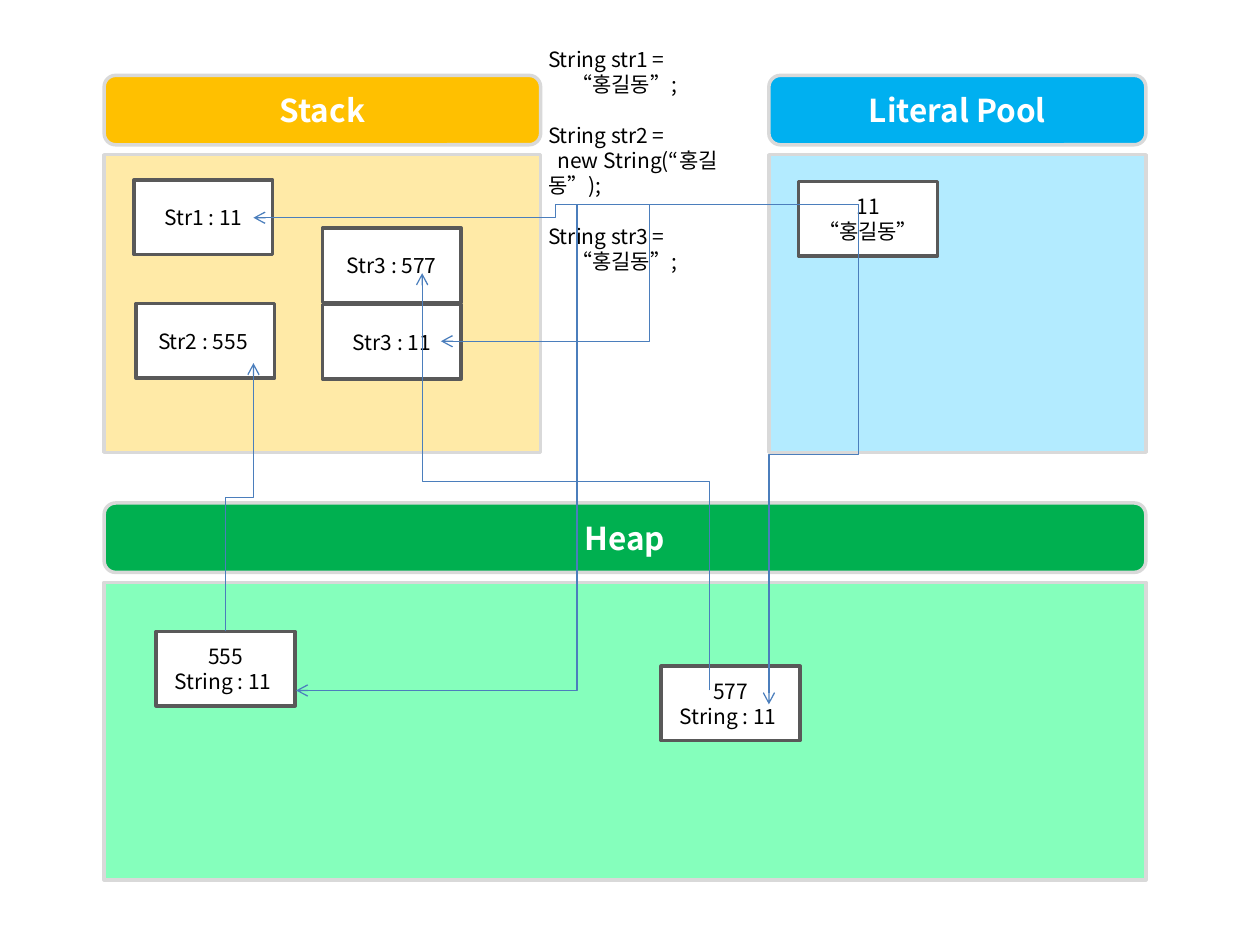
from pptx import Presentation
from pptx.dml.color import RGBColor
from pptx.enum.shapes import MSO_CONNECTOR, MSO_SHAPE
from pptx.enum.text import MSO_ANCHOR, MSO_AUTO_SIZE, PP_ALIGN
from pptx.oxml.ns import qn
from pptx.util import Cm, Pt
from lxml.etree import SubElement


def tint(code):
    return RGBColor.from_string(code)


class Deck:
    """Holds the style and the current slide, and draws each kind of element."""

    font = "Noto Sans CJK KR"
    ink, paper = "000000", "FFFFFF"
    edge, frame, wire = "D9D9D9", "595959", "4B7EBC"

    def __init__(self, wide, high):
        self.show = Presentation()
        self.show.slide_width, self.show.slide_height = Cm(wide), Cm(high)
        self.slide = self.show.slides.add_slide(self.show.slide_layouts[6])

    def label(self, para, text, size=12, color=ink, bold=False):
        run = para.add_run()
        run.text = text
        face = run.font
        face.name, face.size, face.bold = self.font, Pt(size), bold
        face.color.rgb = tint(color)
        SubElement(face._element, qn("a:ea"), typeface=self.font)

    def shape(self, kind, place, fill, line, rows=(), **style):
        item = self.slide.shapes.add_shape(kind, *map(Cm, place))
        item.shadow.inherit = False
        item.fill.solid()
        item.fill.fore_color.rgb = tint(fill)
        item.line.color.rgb = tint(line)
        item.line.width = Pt(2)
        frame = item.text_frame
        frame.vertical_anchor = MSO_ANCHOR.MIDDLE
        for i, row in enumerate(rows):
            para = frame.add_paragraph() if i else frame.paragraphs[0]
            para.alignment = PP_ALIGN.CENTER
            self.label(para, row, **style)

    def panel(self, name, x, y, wide, dark, light):
        self.shape(MSO_SHAPE.ROUNDED_RECTANGLE, (x, y, wide, 1.4), dark, self.edge,
                   [name], size=18, color=self.paper, bold=True)
        self.shape(MSO_SHAPE.RECTANGLE, (x, y + 1.6, wide, 6), light, self.edge)

    def box(self, x, y, *rows):
        self.shape(MSO_SHAPE.RECTANGLE, (x, y, 2.8, 1.5), self.paper, self.frame, rows)

    def code(self, place, lines):
        frame = self.slide.shapes.add_textbox(*map(Cm, place)).text_frame
        frame.word_wrap = True
        frame.auto_size = MSO_AUTO_SIZE.SHAPE_TO_FIT_TEXT
        for i, (text, indent, gap) in enumerate(lines):
            para = frame.add_paragraph() if i else frame.paragraphs[0]
            para.space_before = Pt(gap)
            para._p.get_or_add_pPr().set("indent", str(Cm(indent)))
            self.label(para, text)

    def link(self, start, end, upright=False):
        (ax, ay), (bx, by) = start, end
        down = by > ay
        if upright:
            midx, midy = (ax + bx) / 2, (ay + by) / 2
            half, rise = abs(by - ay) / 2, abs(bx - ax) / 2
            if down == (bx > ax):
                rise = -rise
            ax, bx, ay, by = midx - half, midx + half, midy - rise, midy + rise
        line = self.slide.shapes.add_connector(
            MSO_CONNECTOR.ELBOW, Cm(ax), Cm(ay), Cm(bx), Cm(by))
        line.line.color.rgb = tint(self.wire)
        line.line.width = Pt(0.75)
        prop = line._element.spPr
        if upright:
            prop.find(qn("a:xfrm")).set("rot", str((90 if down else 270) * 60000))
        SubElement(prop.find(qn("a:ln")), qn("a:tailEnd"), type="arrow")
        SubElement(prop, qn("a:effectLst"))


def main():
    deck = Deck(25.4, 19.05)
    deck.panel("Stack", 2.1, 1.52, 8.8, "FFC000", "FFEAA7")
    deck.panel("Literal Pool", 15.5, 1.52, 7.6, "00B0F0", "B3EBFF")
    deck.panel("Heap", 2.1, 10.14, 21, "00B050", "85FFBC")

    deck.code((10.8, 0.81, 4.85, 4.37), [
        ("String str1 =", 0, 0),
        ("“홍길동”;", 0.47, 0),
        ("String str2 =", 0, 14.5),
        ("new String(“홍길동”);", 0.19, 0),
        ("String str3 =", 0, 14.5),
        ("“홍길동”;", 0.47, 0),
    ])

    deck.box(2.7, 3.63, "Str1 : 11")
    deck.box(16.1, 3.66, "11", "“홍길동”")
    deck.box(2.74, 6.12, "Str2 : 555 ")
    deck.box(3.15, 12.73, "555", "String : 11 ")
    deck.box(6.5, 6.14, "Str3 : 11")
    deck.box(13.33, 13.43, "577", "String : 11 ")
    deck.box(6.5, 4.6, "Str3 : 577")

    pool = (17.3, 4.12)
    for end in ((5.11, 4.39), (5.97, 13.92), (8.89, 6.88)):
        deck.link(pool, end)
    deck.link((4.55, 12.73), (5.11, 7.32), upright=True)
    deck.link((14.3, 13.92), (8.51, 5.51), upright=True)
    deck.link(pool, (15.5, 14.2), upright=True)
    deck.show.save("out.pptx")


if __name__ == "__main__":
    main()
